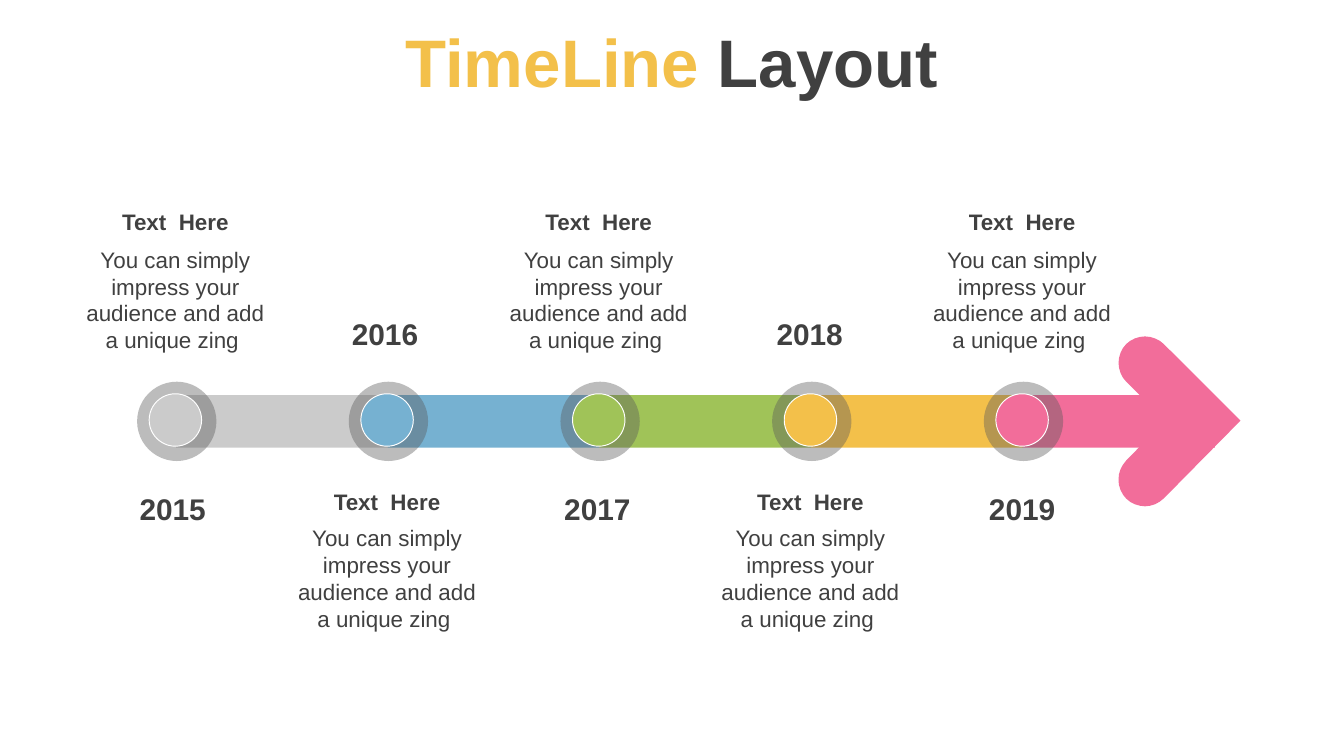
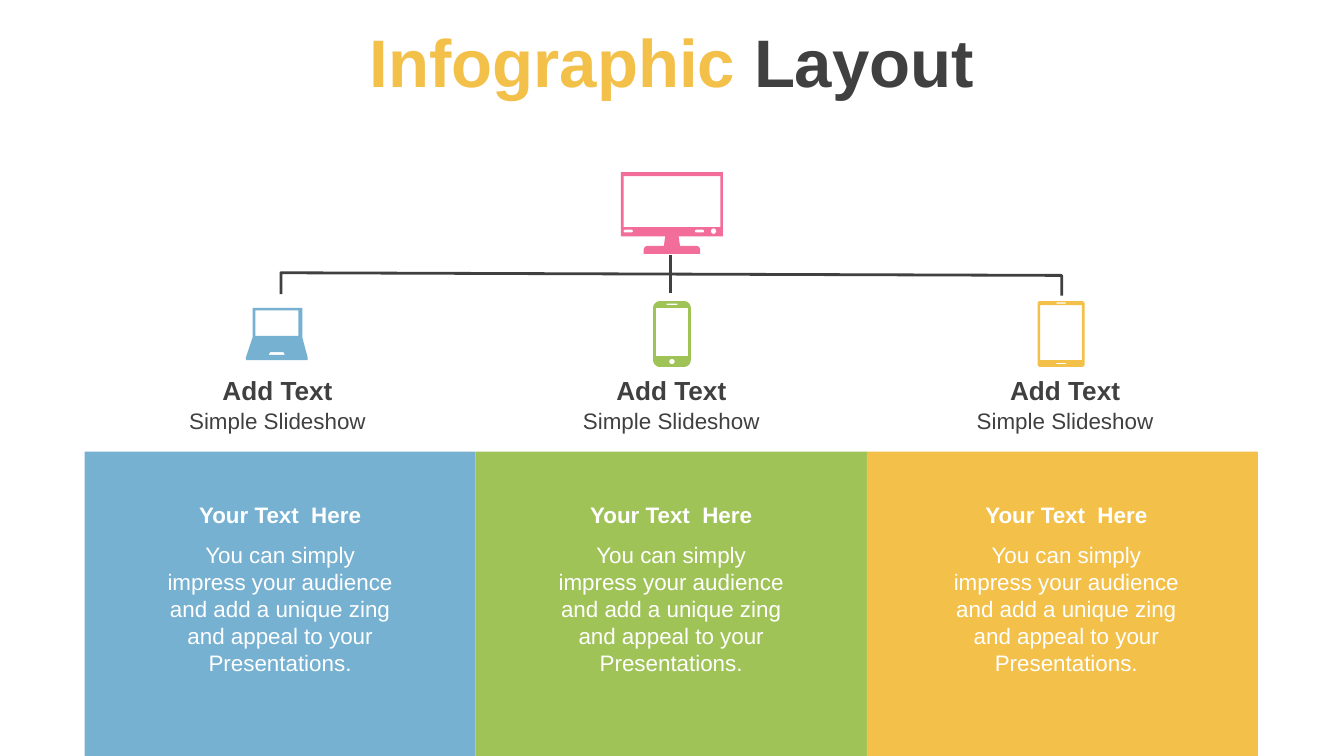
from pptx import Presentation
from pptx.dml.color import RGBColor
from pptx.enum.shapes import MSO_CONNECTOR as Line, MSO_SHAPE as Preset
from pptx.enum.text import MSO_ANCHOR as Anchor, PP_ALIGN as Align
from pptx.oxml.ns import qn
from pptx.util import Inches, Pt
from lxml.etree import SubElement

DARK, WHITE = "404040", "FFFFFF"
GREY, BLUE, GREEN, GOLD, PINK = "CBCBCB", "76B1D1", "A0C358", "F3C04A", "F26D9A"
FONT = "Arial"


def paint(shape, fill=None, opacity=None, line=None, width=0.5):
    """Set fill and line from hex colours and take the shadow away."""
    if fill:
        shape.fill.solid()
        shape.fill.fore_color.rgb = RGBColor.from_string(fill)
    if opacity:
        colour = shape._element.spPr.find(".//" + qn("a:srgbClr"))
        SubElement(colour, qn("a:alpha")).set("val", str(opacity * 1000))
    if line:
        shape.line.color.rgb = RGBColor.from_string(line)
        shape.line.width = Pt(width)
    else:
        shape.line.fill.background()
    SubElement(shape._element.spPr, qn("a:effectLst"))


def write(page, area, text, size=12, bold=False, colour=DARK, lead="", anchor=Anchor.TOP):
    """Add a centred text box; lead is a gold opening before the text."""
    box = page.shapes.add_textbox(*map(Inches, area))
    frame = box.text_frame
    frame.word_wrap = True
    frame.vertical_anchor = anchor
    para = frame.paragraphs[0]
    para.alignment = Align.CENTER
    for words, shade in ((lead, GOLD), (text, colour)):
        if words:
            span = para.add_run()
            span.text = words
            span.font.name = FONT
            span.font.size = Pt(size)
            span.font.bold = bold
            span.font.color.rgb = RGBColor.from_string(shade)


deck = Presentation()
deck.slide_width = Inches(10)
deck.slide_height = deck.slide_width * 9 // 16
timeline, infographic = [deck.slides.add_slide(deck.slide_layouts[6]) for _ in range(2)]
for page, lead in ((timeline, "TimeLine"), (infographic, "Infographic")):
    write(page, (0, 0.03, 10, 0.84), " Layout", size=36, bold=True, lead=lead,
          anchor=Anchor.MIDDLE)

# Timeline bars
STEP = 1.575
stages = [(2015, GREY), (2016, BLUE), (2017, GREEN), (2018, GOLD), (2019, PINK)]
for i, (year, colour) in enumerate(stages):
    length = 1.43 if colour == PINK else STEP
    bar = timeline.shapes.add_shape(
        Preset.RECTANGLE, *map(Inches, (1.31 + i * STEP, 2.94, length, 0.39)))
    paint(bar, colour)

# Outlines: a tuple is a box (left, top, right, bottom, radius),
# a list holds corners (x, y, radius)
arrow = [[(9.23, 3.13, 0), (8.52, 3.85, 0.2), (8.24, 3.57, 0.2),
          (8.67, 3.13, 0), (8.24, 2.7, 0.2), (8.52, 2.42, 0.2)]]
laptop = [
    [(1.88, 2.29, 0), (2.25, 2.29, 0), (2.25, 2.51, 0), (2.29, 2.66, 0),
     (2.29, 2.68, 0), (1.83, 2.68, 0), (1.83, 2.66, 0), (1.88, 2.51, 0)],
    (1.9, 2.31, 2.22, 2.5, 0),
    [(2.01, 2.62, 0), (2, 2.64, 0), (2.12, 2.64, 0), (2.11, 2.62, 0)],
]
phone = [(4.86, 2.24, 5.14, 2.73, 0.05), (4.88, 2.29, 5.12, 2.65, 0),
         (4.96, 2.26, 5.04, 2.27, 0), (4.98, 2.67, 5.02, 2.71, 0.02)]
monitor = [
    [(4.62, 1.28, 0), (5.38, 1.28, 0), (5.38, 1.76, 0), (5.05, 1.76, 0),
     (5.06, 1.83, 0), (5.21, 1.83, 0.03), (5.21, 1.89, 0), (4.79, 1.89, 0),
     (4.79, 1.83, 0.03), (4.94, 1.83, 0), (4.95, 1.76, 0), (4.62, 1.76, 0)],
    (4.64, 1.31, 5.36, 1.69, 0), (4.64, 1.71, 4.71, 1.73, 0.01),
    (5.17, 1.71, 5.24, 1.73, 0.01), (5.29, 1.7, 5.33, 1.74, 0.02),
]
tablet = [(7.72, 2.24, 8.07, 2.73, 0.02), (7.74, 2.27, 8.05, 2.68, 0),
          (7.86, 2.25, 7.93, 2.26, 0), (7.86, 2.7, 7.93, 2.71, 0)]
outlines = [(timeline, PINK, arrow), (infographic, BLUE, laptop),
            (infographic, GREEN, phone), (infographic, PINK, monitor),
            (infographic, GOLD, tablet)]
for page, colour, contours in outlines:
    builder = None
    for contour in contours:
        if isinstance(contour, tuple):
            left, top, right, bottom, radius = contour
            contour = [(left, top, radius), (right, top, radius),
                       (right, bottom, radius), (left, bottom, radius)]
        points = []
        for i, (x, y, radius) in enumerate(contour):
            if not radius:
                points.append((x * 1000, y * 1000))
                continue
            ends = []
            for near_x, near_y, _ in (contour[i - 1], contour[(i + 1) % len(contour)]):
                share = radius / ((near_x - x) ** 2 + (near_y - y) ** 2) ** 0.5
                ends.append(((near_x - x) * share, (near_y - y) * share))
            # Cubic curve from one cut of the corner to the other
            for t in (k / 8 for k in range(9)):
                before = (1 - t) ** 3 + 1.35 * t * (1 - t) ** 2
                after = t ** 3 + 1.35 * t ** 2 * (1 - t)
                points.append(tuple((corner + before * a + after * b) * 1000
                                    for corner, a, b in zip((x, y), *ends)))
        if builder:
            builder.move_to(*points[0])
        else:
            builder = page.shapes.build_freeform(*points[0], scale=Inches(1) / 1000)
        builder.add_line_segments(points[1:], close=True)
    paint(builder.convert_to_shape(), colour)

# Timeline stops and captions, alternating above and below
for i, (year, colour) in enumerate(stages):
    shift = i * STEP
    for left, top, size, look in (
            (1.02, 2.84, 0.59, dict(fill="595959", opacity=40)),
            (1.11, 2.93, 0.39, dict(fill=colour, line=WHITE))):
        stop = timeline.shapes.add_shape(
            Preset.OVAL, *map(Inches, (left + shift, top, size, size)))
        paint(stop, **look)
    year_top, head_top, body_top = (2.3, 3.58, 3.85) if i % 2 else (3.6, 1.5, 1.78)
    write(timeline, (0.92 + i * 1.58, year_top, 0.73, 0.37), str(year), size=16, bold=True)
    write(timeline, (0.53 + shift, head_top, 1.55, 0.3), "Text  Here", bold=True,
          anchor=Anchor.MIDDLE)
    write(timeline, (0.53 + shift, body_top, 1.55, 0.91),
          "You can simply impress your audience and add a unique zing ")

# Infographic tree
builder = infographic.shapes.build_freeform(2090, 2190, scale=Inches(1) / 1000)
builder.add_line_segments([(2090, 2030), (7900, 2050), (7900, 2200)], close=False)
bracket = builder.convert_to_shape()
bracket.fill.background()
stem = infographic.shapes.add_connector(
    Line.STRAIGHT, *map(Inches, (4.99, 1.9, 4.99, 2.18)))
for branch in (bracket, stem):
    paint(branch, line=DARK, width=1.5)

# Infographic columns, their bands reaching the foot of the slide
BAND, BAND_TOP = Inches(2.91), Inches(3.36)
for i, (colour, text_left) in enumerate(((BLUE, 1.12), (GREEN, 4.03), (GOLD, 6.97))):
    band = infographic.shapes.add_shape(
        Preset.RECTANGLE, Inches(0.63) + i * BAND, BAND_TOP,
        BAND, deck.slide_height - BAND_TOP)
    paint(band, colour)
    label_left = 1.01 + i * 2.93
    write(infographic, (label_left, 2.74, 2.11, 0.34), "Add Text", size=14, bold=True)
    write(infographic, (label_left, 2.98, 2.11, 0.3), "Simple Slideshow")
    write(infographic, (text_left, 3.68, 1.93, 0.3), "Your Text  Here", bold=True,
          colour=WHITE)
    write(infographic, (text_left, 3.98, 1.93, 1.11),
          "You can simply impress your audience and add a unique zing "
          "and appeal to your Presentations.", colour=WHITE)

deck.save("out.pptx")
